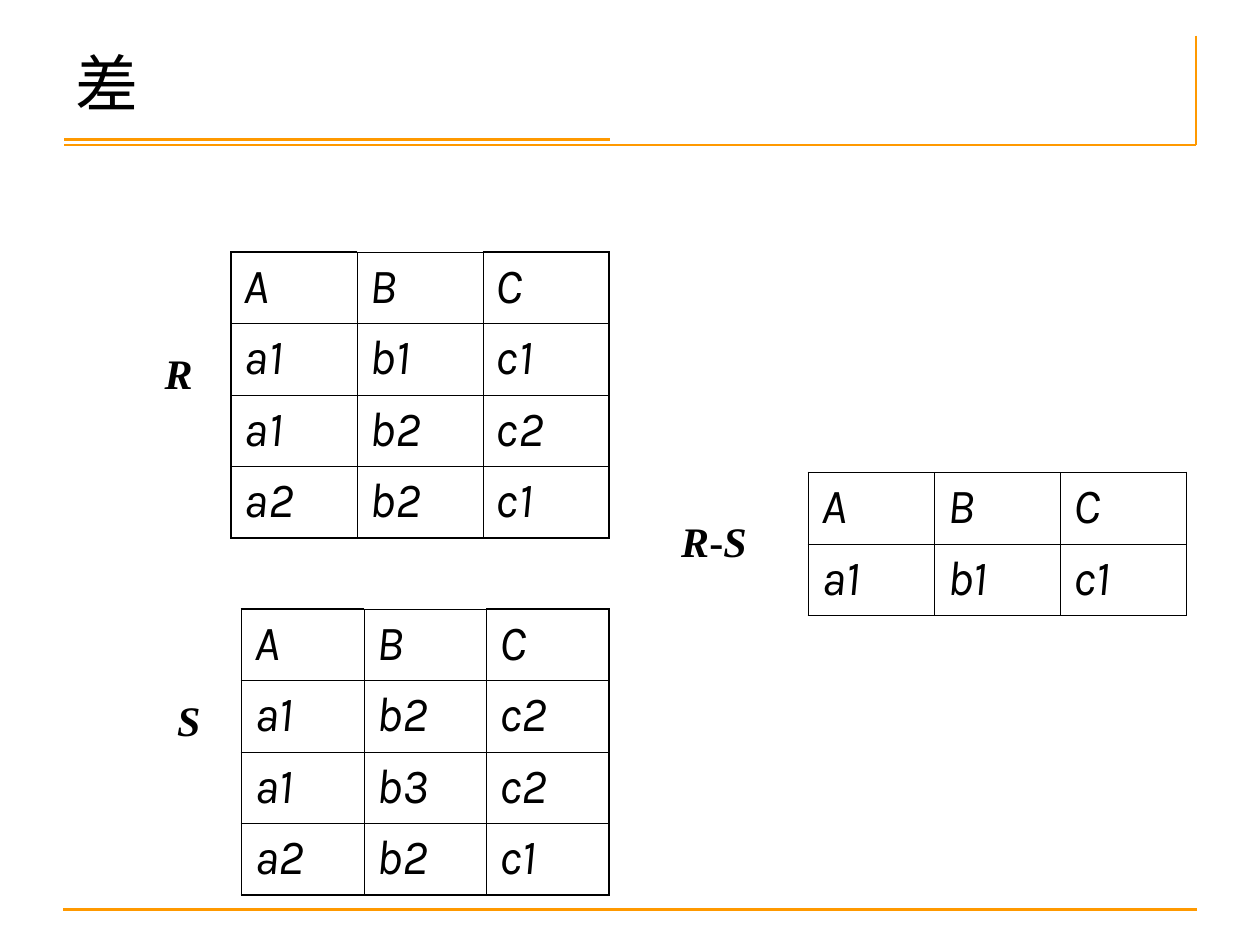
from lxml.etree import SubElement
from pptx import Presentation
from pptx.dml.color import RGBColor as RGB
from pptx.enum.shapes import MSO_CONNECTOR as Connector
from pptx.enum.text import MSO_ANCHOR as Anchor, PP_ALIGN as Align
from pptx.oxml.ns import qn
from pptx.util import Inches, Pt

COLORS = {"rule": "FF9900", "ink": "000000"}
UNIT = Inches(1) / 12
COLUMNS, ROWS = 120, 90
ROW_HEIGHT = 6.8


def grid(*lengths):
    return [round(length * UNIT) for length in lengths]


def add_words(frame, words, size, font, bold=False, align=Align.LEFT):
    paragraph = frame.paragraphs[0]
    paragraph.alignment = align
    for word, italic in words:
        run = paragraph.add_run()
        run.text = word
        run.font.size = Pt(size)
        run.font.name = font
        run.font.bold = bold
        run.font.italic = italic
        run.font.color.rgb = RGB.from_string(COLORS["ink"])


deck = Presentation()
deck.slide_width, deck.slide_height = grid(COLUMNS, ROWS)
slide = deck.slides.add_slide(deck.slide_layouts[6])
shapes = slide.shapes

rules = [
    (6, 86.6, 114, 86.6),
    (6.1, 13.8, 113.9, 13.8),
    (113.9, 3.4, 113.9, 13.8),
    (6.1, 13.3, 58.1, 13.3),
]
for ends in rules:
    rule = shapes.add_connector(Connector.STRAIGHT, *grid(*ends))
    rule.line.color.rgb = RGB.from_string(COLORS["rule"])
    rule.line.width = Pt(1.5)
    SubElement(rule._element.spPr, qn("a:effectLst"))

title = shapes.add_textbox(*grid(6, 3.6, 108, 10.2))
title.text_frame.word_wrap = True
add_words(title.text_frame, [("差", False)], 36, "Times New Roman")

relations = [
    (22, 24, 36, ["A B C", "a1 b1 c1", "a1 b2 c2", "a2 b2 c1"]),
    (77, 45, 36, ["A B C", "a1 b1 c1"]),
    (23, 58, 35, ["A B C", "a1 b2 c2", "a1 b3 c2", "a2 b2 c1"]),
]
for left, top, width, tuples in relations:
    place = grid(left, top, width, ROW_HEIGHT * len(tuples))
    relation = shapes.add_table(len(tuples), 3, *place).table
    relation.first_row = relation.horz_banding = False
    for r, values in enumerate(tuples):
        for c, value in enumerate(values.split()):
            cell = relation.cell(r, c)
            add_words(cell.text_frame, [(value, True)], 28, "Karla")
            outer_edges = {
                "L": c == 0,
                "R": c == 2,
                "T": r == 0 and c != 1,
                "B": r == len(tuples) - 1,
            }
            borders = cell._tc.get_or_add_tcPr()
            for side, outer in outer_edges.items():
                edge = SubElement(borders, qn(f"a:ln{side}"), w=str(Pt(1.08 if outer else 0.45)))
                ink = SubElement(edge, qn("a:solidFill"))
                SubElement(ink, qn("a:srgbClr"), val=COLORS["ink"])
            cell.fill.background()

captions = [
    (14.5, 30, 4, [("R", True)]),
    (15.7, 63, 4, [("S", True)]),
    (63, 46, 11, [("R", True), ("-", False), ("S ", True)]),
]
for left, top, width, words in captions:
    caption = shapes.add_textbox(*grid(left, top, width, 11)).text_frame
    caption.word_wrap = False
    caption.vertical_anchor = Anchor.MIDDLE
    add_words(caption, words, 24, "Times New Roman", bold=True, align=Align.CENTER)

deck.save("out.pptx")
